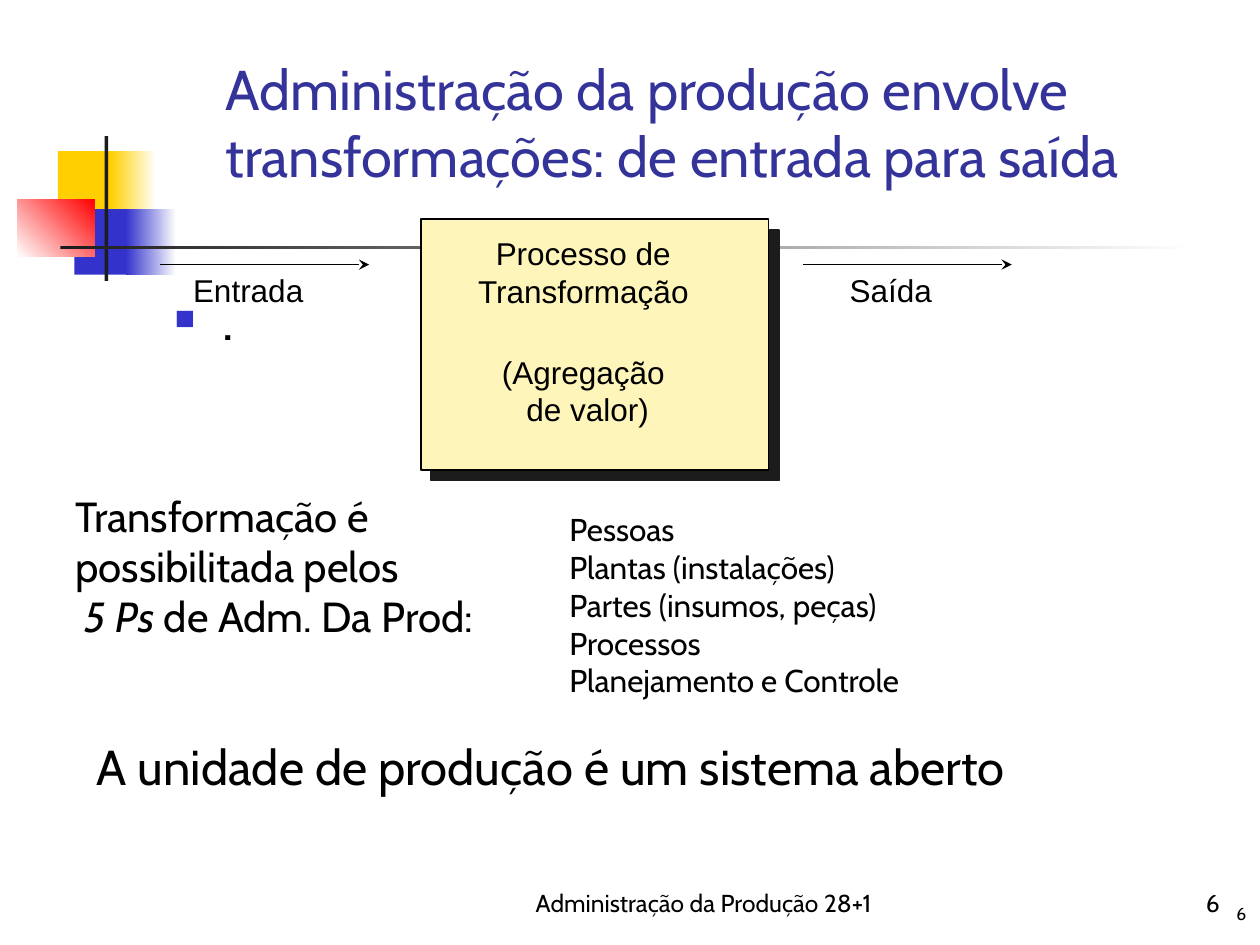
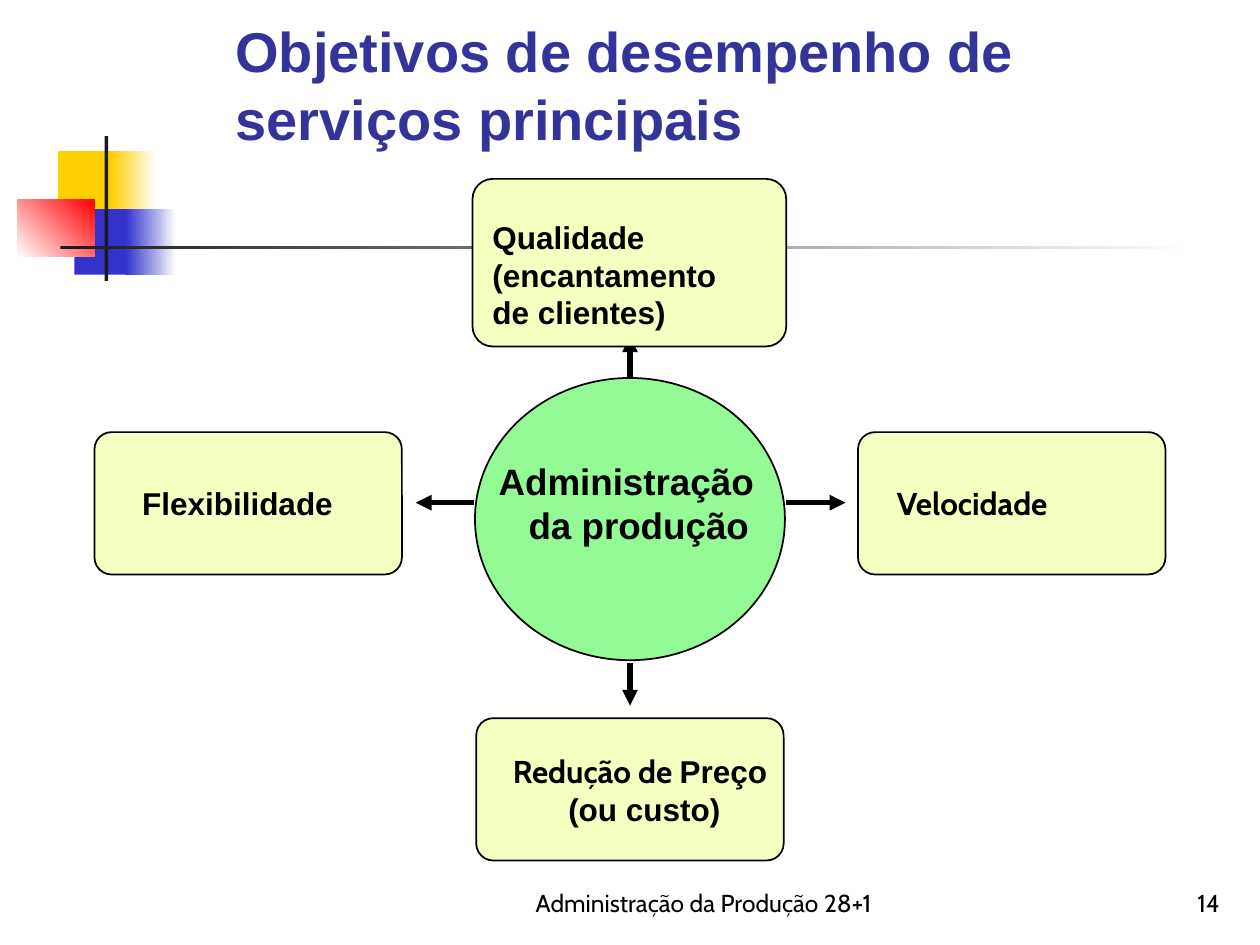
from dataclasses import dataclass

from lxml import etree
from pptx import Presentation
from pptx.dml.color import RGBColor
from pptx.enum.shapes import MSO_CONNECTOR, MSO_SHAPE
from pptx.enum.text import MSO_ANCHOR, PP_ALIGN
from pptx.oxml.ns import qn
from pptx.util import Inches, Pt

RECT, ROUND, OVAL = MSO_SHAPE.RECTANGLE, MSO_SHAPE.ROUNDED_RECTANGLE, MSO_SHAPE.OVAL
STRAIGHT = MSO_CONNECTOR.STRAIGHT
LEFT, CENTER, RIGHT = PP_ALIGN.LEFT, PP_ALIGN.CENTER, PP_ALIGN.RIGHT
TOP, MIDDLE, BOTTOM = MSO_ANCHOR.TOP, MSO_ANCHOR.MIDDLE, MSO_ANCHOR.BOTTOM


@dataclass(frozen=True)
class Theme:
    sans: str = "Cabin"
    plain: str = "Arial"
    title: str = "333399"
    ink: str = "000000"
    dark: str = "1C1C1C"
    white: str = "FFFFFF"
    yellow: str = "FFCF01"
    blue: str = "3333CC"
    red: str = "FF0000"
    process: str = "FDF5BA"
    objective: str = "F4FFC0"
    hub: str = "93FA96"
    title_pt: int = 32
    closing_pt: int = 28
    lead_pt: int = 24
    hub_pt: int = 21
    body_pt: int = 18
    footer_pt: int = 14
    small_pt: int = 10


T = Theme()
COLS, ROWS = 100, 75
FOOTER = "Administração da Produção 28+1"

DECORATION = [
    ((4.6, 12, 4.8, 5.2), (T.yellow,), 0),
    ((8.8, 12, 3.6, 5.2), (T.yellow, T.white), 0),
    ((5.9, 16.6, 4.6, 5.2), (T.blue,), 0),
    ((10, 16.6, 4, 5.2), (T.blue, T.white), 0),
    ((1.4, 15.8, 6.1, 4.6), (T.white, T.red), 45),
    ((8.3, 10.8, 0.3, 11.5), (T.dark,), 0),
    ((4.8, 19.5, 90, 0.3), (T.dark, T.white), 0),
]

TRANSFORMATION = {
    "title": "Administração da produção envolve transformações: de entrada para saída",
    "flows": [("Entrada", 12.7), ("Saída", 63.7)],
    "process": [
        (18.1, ["Processo de", "Transformação"]),
        (27.5, ["(Agregação", " de valor)"]),
    ],
    "lead": [
        "Transformação é",
        "possibilitada pelos",
        [(" ", {}), ("5 Ps", {"italic": True}), (" de Adm. Da Prod:", {})],
    ],
    "five_ps": [
        "Pessoas",
        "Plantas (instalações)",
        "Partes (insumos, peças)",
        "Processos",
        "Planejamento e Controle",
    ],
    "closing": "A unidade de produção é um sistema aberto",
}

ARIAL = {"font": T.plain}
OBJECTIVES = [
    ((37.5, 14.2, 24.9, 13.3), (38.1, 16.8, 24, 10), LEFT,
     [[(line, ARIAL)] for line in ("Qualidade", "(encantamento", "de clientes)")]),
    ((7.5, 34.3, 24.4, 11.3), (10.3, 37.9, 20, 4), LEFT, [[("Flexibilidade", ARIAL)]]),
    ((68.1, 34.3, 24.4, 11.3), (70.2, 37.9, 20, 4), LEFT, ["Velocidade"]),
    ((37.8, 57, 24.4, 11.3), (37.8, 59.2, 26, 7), CENTER,
     [[("Redução de ", {}), ("Preço", ARIAL)], [(" (ou custo)", ARIAL)]]),
]
HUB = (37.7, 30, 24.6, 22.4)
HUB_LINES = [("Administração", (37.7, 35.9, 24, 4.5)), ("da produção", (39.7, 39.4, 22, 4.5))]
HUB_ARROWS = [
    ((50, 30), (50, 26.7)),
    ((37.6, 39.9), (33, 39.9)),
    ((62.4, 39.9), (67.1, 39.9)),
    ((50, 52.6), (50, 56)),
]

prs = Presentation()
prs.slide_width, prs.slide_height = Inches(10), Inches(7.5)


def x(col):
    return round(prs.slide_width * col / COLS)


def y(row):
    return round(prs.slide_height * row / ROWS)


def area(box):
    left, top, width, height = box
    return x(left), y(top), x(width), y(height)


def rgb(color):
    return RGBColor.from_string(color)


def add_text(s, box, lines, size, font=T.sans, color=T.ink, bold=False,
             align=LEFT, anchor=TOP):
    sp = s.shapes.add_textbox(*area(box))
    tf = sp.text_frame
    tf.word_wrap = True
    tf.vertical_anchor = anchor
    for i, line in enumerate(lines):
        p = tf.add_paragraph() if i else tf.paragraphs[0]
        p.alignment = align
        for text, style in ([(line, {})] if isinstance(line, str) else line):
            r = p.add_run()
            r.text = text
            r.font.size = Pt(size)
            r.font.name = style.get("font", font)
            r.font.bold = bold
            r.font.italic = style.get("italic", False)
            r.font.color.rgb = rgb(color)
    return sp


def add_block(s, kind, box, colors, angle=0, outlined=True):
    sp = s.shapes.add_shape(kind, *area(box))
    sp.shadow.inherit = False
    if len(colors) == 1:
        sp.fill.solid()
        sp.fill.fore_color.rgb = rgb(colors[0])
    else:
        sp.fill.gradient()
        sp.fill.gradient_angle = angle
        for stop, color in zip(sp.fill.gradient_stops, colors):
            stop.color.rgb = rgb(color)
    if outlined:
        sp.line.color.rgb = rgb(T.ink)
        sp.line.width = Pt(1)
    else:
        sp.line.fill.background()
    return sp


def add_arrow(s, start, end, width, head):
    c = s.shapes.add_connector(STRAIGHT, x(start[0]), y(start[1]), x(end[0]), y(end[1]))
    c.line.color.rgb = rgb(T.ink)
    c.line.width = Pt(width)
    etree.SubElement(c.line._get_or_add_ln(), qn("a:tailEnd"), type=head)
    etree.SubElement(c._element.spPr, qn("a:effectLst"))


def add_hard_shadow(sp):
    effects = sp._element.spPr.find(qn("a:effectLst"))
    shadow = etree.SubElement(effects, qn("a:outerShdw"), dist=str(Pt(8.5)),
                              dir="2700000", algn="ctr", rotWithShape="0")
    etree.SubElement(shadow, qn("a:srgbClr"), val=T.dark)


def add_square_bullet(p):
    pPr = p._p.get_or_add_pPr()
    pPr.set("marL", str(Inches(0.38)))
    pPr.set("indent", str(-Inches(0.38)))
    color = etree.SubElement(pPr, qn("a:buClr"))
    etree.SubElement(color, qn("a:srgbClr"), val=T.blue)
    etree.SubElement(pPr, qn("a:buSzPct"), val="60000")
    etree.SubElement(pPr, qn("a:buFont"), typeface=T.plain)
    etree.SubElement(pPr, qn("a:buChar"), char="■")


def start_slide(number, title, box, **style):
    s = prs.slides.add_slide(prs.slide_layouts[6])
    for place, colors, angle in DECORATION:
        add_block(s, RECT, place, colors, angle, outlined=False)
    add_text(s, box, [title], T.title_pt, color=T.title, anchor=BOTTOM, **style)
    add_text(s, (40, 68.3, 31.7, 5), [FOOTER], T.footer_pt, align=CENTER, anchor=BOTTOM)
    add_text(s, (77, 68.3, 20.8, 5), [str(number)], T.footer_pt, align=RIGHT, anchor=BOTTOM)
    return s


def build_transformation():
    d = TRANSFORMATION
    s = start_slide(6, d["title"], (16.9, 1.2, 81.1, 14.3))
    add_text(s, (79.1, 70, 20.8, 5), ["6"], T.small_pt, align=RIGHT, anchor=MIDDLE)
    for label, left in d["flows"]:
        add_arrow(s, (left, 21), (left + 16.6, 21), 1, "stealth")
        add_text(s, (left, 21, 14, 4), [label], T.body_pt, T.plain, align=CENTER)
    add_hard_shadow(add_block(s, RECT, (33.4, 17.4, 27.6, 19.9), (T.process,)))
    for top, lines in d["process"]:
        add_text(s, (35.3, top, 22, 7), lines, T.body_pt, T.plain, align=CENTER)
    add_text(s, (5, 38.4, 37.9, 13), d["lead"], T.lead_pt)
    body = add_text(s, (12.9, 22.1, 85, 45), ["."], T.title_pt)
    add_square_bullet(body.text_frame.paragraphs[0])
    add_text(s, (44.2, 40, 35.8, 19), d["five_ps"], T.body_pt)
    add_text(s, (6.7, 58, 86.6, 5.7), [d["closing"]], T.closing_pt)


def build_objectives():
    s = start_slide(14, "Objetivos de desempenho de serviços principais",
                    (17.7, 1.7, 79, 10.8), font=T.plain, bold=True)
    for start, end in HUB_ARROWS:
        add_arrow(s, start, end, 3, "triangle")
    add_block(s, OVAL, HUB, (T.hub,))
    for line, box in HUB_LINES:
        add_text(s, box, [line], T.hub_pt, T.plain, bold=True, align=CENTER)
    for box, text_box, align, lines in OBJECTIVES:
        add_block(s, ROUND, box, (T.objective,)).adjustments[0] = 0.12
        add_text(s, text_box, lines, T.body_pt, bold=True, align=align)


def main():
    build_transformation()
    build_objectives()
    prs.save("out.pptx")


if __name__ == "__main__":
    main()
